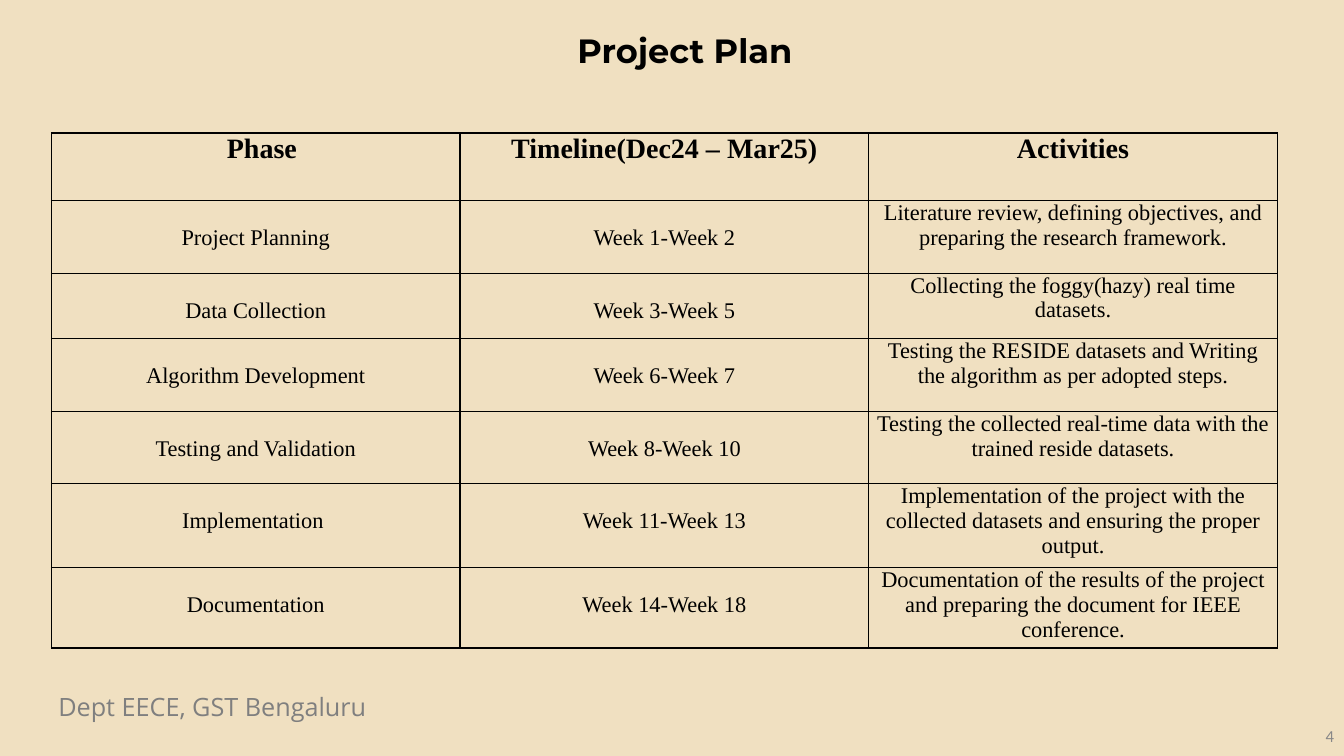
"""Builds the project plan slide with its timetable of phases."""
import pptx
import pptx.dml.color
import pptx.enum.text
import pptx.oxml
import pptx.oxml.ns
import pptx.util

Inches = pptx.util.Inches
ALIGN = pptx.enum.text.PP_ALIGN
ANCHOR = pptx.enum.text.MSO_ANCHOR

HEADINGS = ["Phase", "Timeline(Dec24 – Mar25)", "Activities"]
PHASES = [
    ("Project Planning", "Week 1-Week 2",
     "Literature review, defining objectives, and preparing the research framework."),
    ("Data Collection", "Week 3-Week 5",
     "Collecting the foggy(hazy) real time datasets."),
    ("Algorithm Development", "Week 6-Week 7",
     "Testing the RESIDE datasets and Writing the algorithm as per adopted steps."),
    ("Testing and Validation", "Week 8-Week 10",
     "Testing the collected real-time data with the trained reside datasets."),
    ("Implementation ", "Week 11-Week 13",
     "Implementation of the project with the collected datasets and ensuring the proper output."),
    ("Documentation", "Week 14-Week 18",
     "Documentation of the results of the project and preparing the document for IEEE conference."),
]
ROW_HEIGHTS = [0.67, 0.72, 0.65, 0.72, 0.72, 0.83, 0.79]
PLAN_WIDTH = 12.16


def rgb(value):
    """Turn a hex string into a colour."""
    return pptx.dml.color.RGBColor.from_string(value)


def write(frame, text, size, font, color="000000", bold=False, align=ALIGN.CENTER):
    """Put one styled paragraph into a text frame."""
    paragraph = frame.paragraphs[0]
    paragraph.text = text
    paragraph.alignment = align
    paragraph.font.size = pptx.util.Pt(size)
    paragraph.font.name = font
    paragraph.font.bold = bold
    paragraph.font.color.rgb = rgb(color)


def add_label(slide, place, text, anchor=ANCHOR.TOP, **style):
    """Add a wrapping text box at left, top, width, height."""
    frame = slide.shapes.add_textbox(*map(Inches, place)).text_frame
    frame.word_wrap = True
    frame.vertical_anchor = anchor
    write(frame, text, **style)


def draw_borders(cell, color="000000"):
    """Draw a one-point line on all four sides of a cell."""
    properties = cell._tc.get_or_add_tcPr()
    for position, side in enumerate(("lnL", "lnR", "lnT", "lnB")):
        properties.insert(position, pptx.oxml.parse_xml(
            f'<a:{side} {pptx.oxml.ns.nsdecls("a")} w="12700"><a:solidFill>'
            f'<a:srgbClr val="{color}"/></a:solidFill></a:{side}>'))


def fill_cell(cell, text, size, bold=False, align=ALIGN.CENTER, left=0.07, top=0):
    """Write a transparent, bordered table cell."""
    cell.margin_left, cell.margin_right = Inches(left), Inches(0.07)
    cell.margin_top, cell.margin_bottom = Inches(top), Inches(0)
    cell.fill.background()
    draw_borders(cell)
    write(cell.text_frame, text, size, "Times New Roman", bold=bold, align=align)


def add_plan(slide):
    """Add the table of phases, weeks and activities."""
    plan = slide.shapes.add_table(
        len(ROW_HEIGHTS), len(HEADINGS), Inches(0.51), Inches(1.32),
        Inches(PLAN_WIDTH), Inches(sum(ROW_HEIGHTS))).table
    plan.first_row = plan.horz_banding = False
    for column in plan.columns:
        column.width = Inches(PLAN_WIDTH / len(HEADINGS))
    for row, height in zip(plan.rows, ROW_HEIGHTS):
        row.height = Inches(height)

    fill_cell(plan.cell(0, 0), HEADINGS[0], 20, bold=True, align=ALIGN.LEFT, left=1.74)
    for index, heading in enumerate(HEADINGS[1:], 1):
        fill_cell(plan.cell(0, index), heading, 20, bold=True)
    for index, (phase, weeks, activity) in enumerate(PHASES, 1):
        fill_cell(plan.cell(index, 0), phase, 16, top=0.25)
        fill_cell(plan.cell(index, 1), weeks, 16, top=0.25)
        fill_cell(plan.cell(index, 2), activity, 16)


def main():
    """Build and save the slide."""
    deck = pptx.Presentation()
    deck.slide_width, deck.slide_height = Inches(13.33), Inches(7.5)
    slide = deck.slides.add_slide(deck.slide_layouts[6])
    slide.background.fill.solid()
    slide.background.fill.fore_color.rgb = rgb("F0E0C1")

    add_label(slide, (0.48, 6.81, 5.24, 0.4), "Dept EECE, GST Bengaluru",
              size=18, font="Open Sans", color="7F7F7F", align=ALIGN.LEFT)
    add_label(slide, (10.33, 7.1, 3, 0.4), "4", ANCHOR.MIDDLE,
              size=12, font="Calibri", color="888888", align=ALIGN.RIGHT)
    add_label(slide, (1.09, 0.25, 11.5, 0.54), "Project Plan ",
              size=24, font="Montserrat", bold=True)
    add_plan(slide)
    deck.save("out.pptx")


if __name__ == "__main__":
    main()
